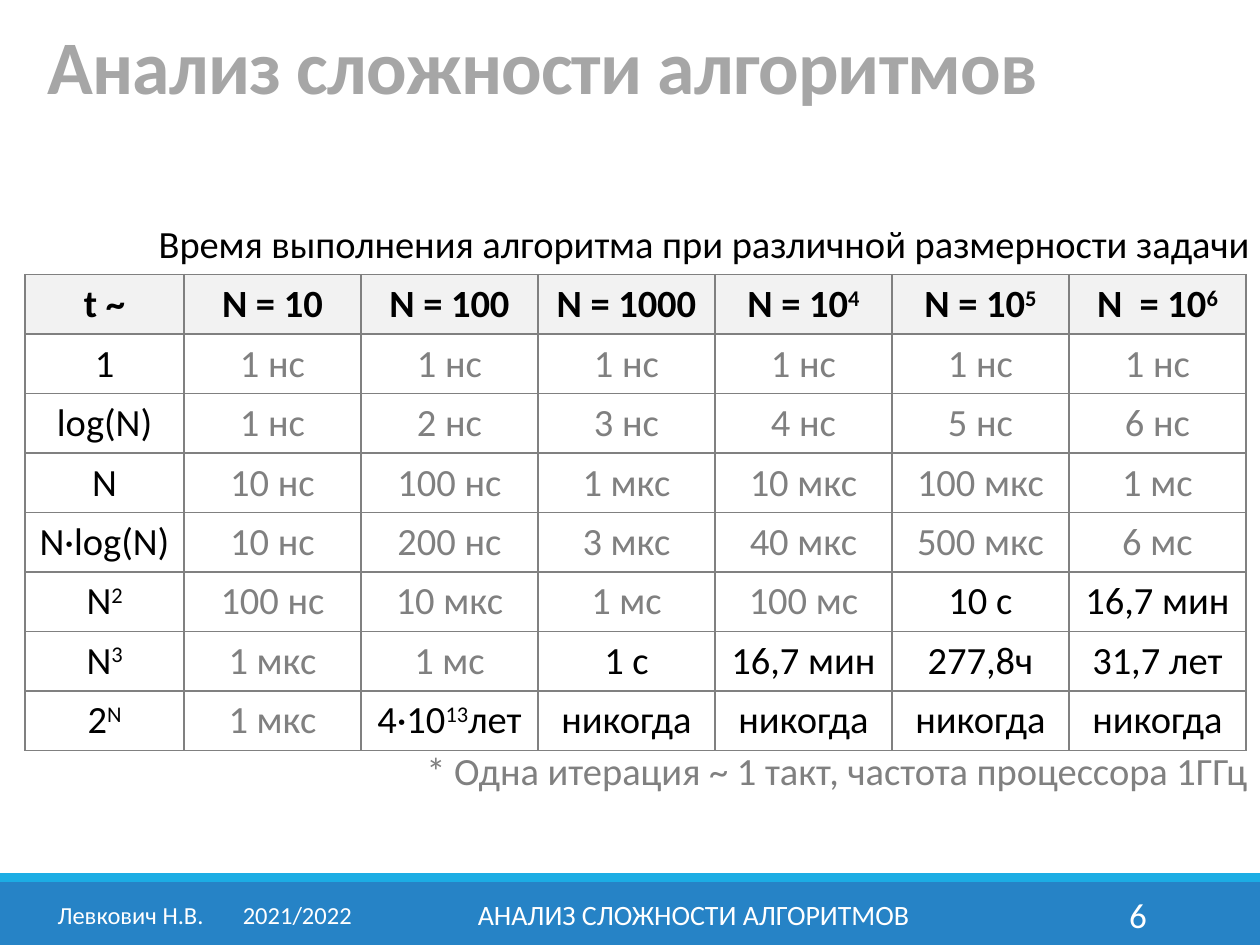
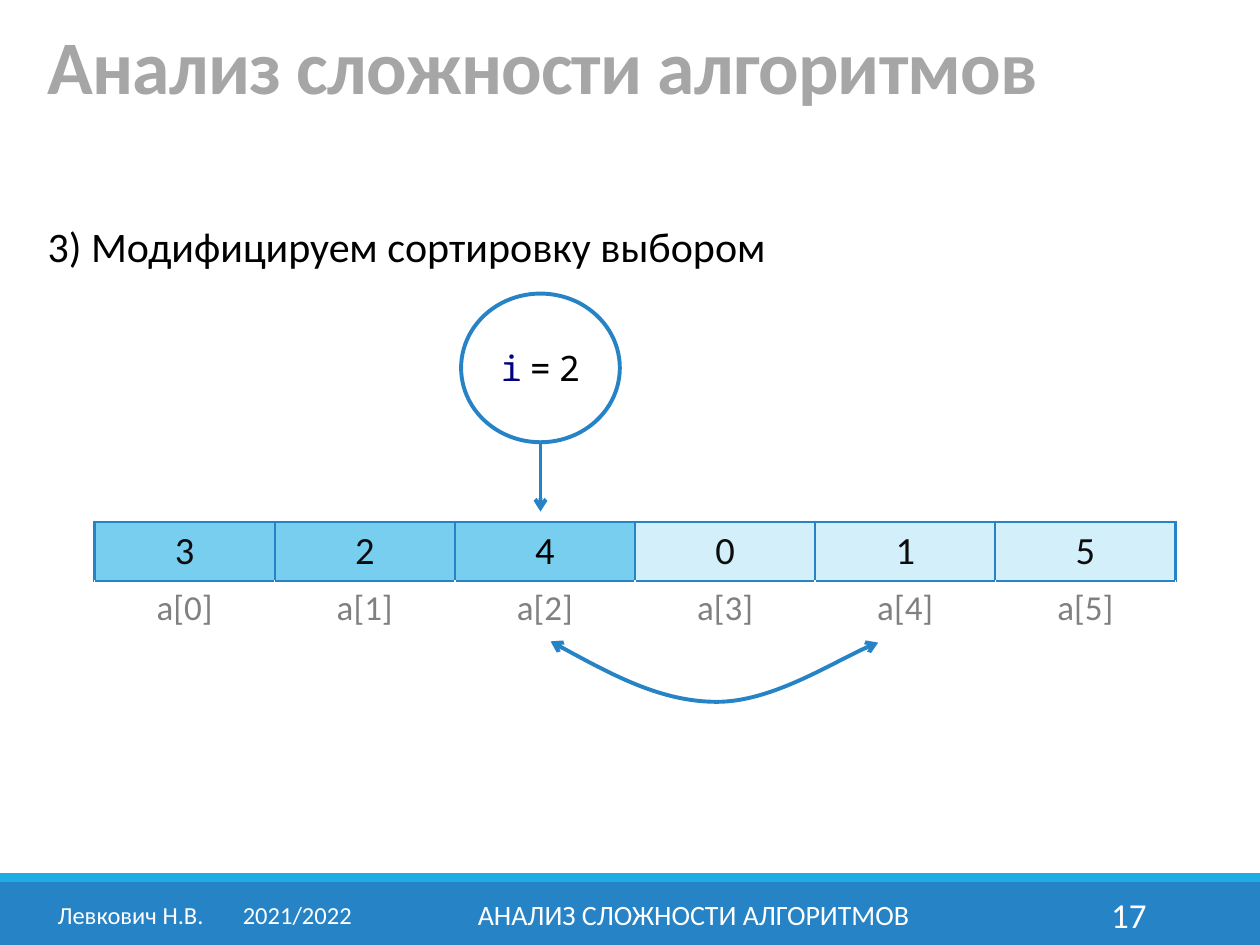
from dataclasses import dataclass

from lxml.etree import SubElement
from pptx import Presentation
from pptx.dml.color import RGBColor
from pptx.enum.shapes import MSO_CONNECTOR, MSO_SHAPE
from pptx.enum.text import MSO_ANCHOR as Anchor, MSO_AUTO_SIZE as AutoSize, PP_ALIGN as Align
from pptx.oxml.ns import qn
from pptx.util import Inches, Pt


@dataclass(frozen=True)
class Theme:
    font: str = "Calibri"
    code_font: str = "Noto Sans Mono"
    blue: str = "2683C6"
    accent: str = "1CADE4"
    sorted_cell: str = "77CEEF"
    open_cell: str = "D2EFFA"
    header_cell: str = "F2F2F2"
    white: str = "FFFFFF"
    black: str = "000000"
    ink: str = "0D0D0D"
    gray: str = "808080"
    title_gray: str = "A6A6A6"
    variable: str = "000080"
    title_size: float = 43.2
    lead_size: float = 24
    table_size: float = 22
    label_size: float = 20
    topic_size: float = 16
    author_size: float = 14
    line_width: float = 2.25


THEME = Theme()
TOPIC = "Анализ сложности алгоритмов"
FAST_UNITS = ("нс", "мкс", "мс")
SIZES = ["N = 10", "N = 100", "N = 1000", "N = 10^4", "N = 10^5", "N  = 10^6"]
TIMES = {
    "1": ["1 нс"] * 6,
    "log(N)": [f"{power} нс" for power in range(1, 7)],
    "N": ["10 нс", "100 нс", "1 мкс", "10 мкс", "100 мкс", "1 мс"],
    "N·log(N)": ["10 нс", "200 нс", "3 мкс", "40 мкс", "500 мкс", "6 мс"],
    "N^2": ["100 нс", "10 мкс", "1 мс", "100 мс", "10 с", "16,7 мин"],
    "N^3": ["1 мкс", "1 мс", "1 с", "16,7 мин", "277,8ч", "31,7 лет"],
    "2^N": ["1 мкс", "4·10^13^лет"] + ["никогда"] * 4,
}


def rgb(color):
    return RGBColor.from_string(color)


def add_span(para, text, size, color, bold=False, font=THEME.font):
    span = para.add_run()
    span.text = text
    span.font.name = font
    span.font.size = Pt(size)
    span.font.bold = bold
    span.font.color.rgb = rgb(color)
    return span


def add_power_spans(para, text, size, color, bold=False):
    for index, part in enumerate(text.split("^")):
        span = add_span(para, part, size, color, bold)
        if index % 2:
            span.font._element.set("baseline", "30000")


def add_text(page, area, text, size, color, align=Align.LEFT, anchor=Anchor.TOP, bold=False):
    box = page.shapes.add_textbox(*map(Inches, area))
    frame = box.text_frame
    frame.word_wrap = True
    frame.auto_size = AutoSize.NONE
    frame.vertical_anchor = anchor
    para = frame.paragraphs[0]
    para.alignment = align
    span = add_span(para, text, size, color, bold)
    return para, span


def add_band(page, top, height, color):
    band = page.shapes.add_shape(
        MSO_SHAPE.RECTANGLE, 0, Inches(top), Inches(10), Inches(height))
    band.shadow.inherit = False
    band.fill.solid()
    band.fill.fore_color.rgb = rgb(color)
    band.line.fill.background()


def add_page(deck, number):
    page = deck.slides.add_slide(deck.slide_layouts[6])
    add_band(page, 7, 0.5, THEME.blue)
    add_band(page, 6.93, 0.07, THEME.accent)

    para, span = add_text(page, (0.28, 0, 8.25, 0.92), TOPIC, THEME.title_size,
                          THEME.title_gray, anchor=Anchor.BOTTOM, bold=True)
    para.line_spacing = 0.85
    span.font._element.set("spc", "-50")

    footers = [
        (0.32, 2.61, "Левкович Н.В.\t2021/2022", THEME.author_size, Align.CENTER),
        (3.02, 4.97, TOPIC.upper(), THEME.topic_size, Align.CENTER),
        (8.12, 1.08, str(number), THEME.label_size, Align.RIGHT),
    ]
    for left, width, text, size, align in footers:
        para, span = add_text(page, (left, 7.06, width, 0.4), text, size,
                              THEME.white, align, Anchor.MIDDLE)
        if "\t" in text:
            tabs = SubElement(para._p.get_or_add_pPr(), qn("a:tabLst"))
            SubElement(tabs, qn("a:tab"), pos=str(Inches(1.47)), algn="l")
    return page


def add_grid(page, left, top, width, row_heights, column_count):
    size = [Inches(width), Inches(sum(row_heights))]
    grid = page.shapes.add_table(
        len(row_heights), column_count, Inches(left), Inches(top), *size).table
    grid.first_row = grid.horz_banding = False
    for column in grid.columns:
        column.width = Inches(width / column_count)
    for row, height in zip(grid.rows, row_heights):
        row.height = Inches(height)
    return grid


def set_borders(cell, sides, color, width):
    properties = cell._tc.get_or_add_tcPr()
    for side in sides:
        line = SubElement(properties, qn(f"a:ln{side}"), w=str(Pt(width)))
        fill = SubElement(line, qn("a:solidFill"))
        SubElement(fill, qn("a:srgbClr"), val=color)


def fill_cell(cell, text, size, color, fill=None, bold=False, anchor=Anchor.MIDDLE):
    cell.vertical_anchor = anchor
    if fill:
        cell.fill.solid()
        cell.fill.fore_color.rgb = rgb(fill)
    else:
        cell.fill.background()
    para = cell.text_frame.paragraphs[0]
    para.alignment = Align.CENTER
    add_power_spans(para, text, size, color, bold)


def add_time_grid(page, left, width, rows):
    grid = add_grid(page, left, 2.18, width, [0.47] * len(rows), len(rows[0]))
    for row_index, row in enumerate(rows):
        header = row_index == 0
        for column_index, text in enumerate(row):
            cell = grid.cell(row_index, column_index)
            set_borders(cell, "LRTB", THEME.gray, 1)
            color = THEME.gray if text.split()[-1] in FAST_UNITS else THEME.black
            fill_cell(cell, text, THEME.table_size, color,
                      THEME.header_cell if header else None, header)


def add_array(page, values, current):
    grid = add_grid(page, 0.75, 4.14, 8.58, [0.47, 0.43], len(values))
    for index, value in enumerate(values):
        value_cell, label_cell = grid.cell(0, index), grid.cell(1, index)
        set_borders(value_cell, "LRTB", THEME.blue, 1.5)
        fill_cell(value_cell, str(value), THEME.table_size,
                  THEME.black if index == current else THEME.ink,
                  THEME.sorted_cell if index <= current else THEME.open_cell,
                  anchor=Anchor.TOP)
        set_borders(label_cell, "LR", THEME.white, 1)
        set_borders(label_cell, "T", THEME.blue, 1.5)
        set_borders(label_cell, "B", THEME.white, 1)
        fill_cell(label_cell, f"a[{index}]", THEME.label_size, THEME.gray, THEME.white)


def style_line(shape, *arrow_ends):
    shape.line.color.rgb = rgb(THEME.blue)
    shape.line.width = Pt(THEME.line_width)
    for end in arrow_ends:
        SubElement(shape.line._get_or_add_ln(), qn(f"a:{end}"), type="arrow")


def add_arrow(page, start, end):
    arrow = page.shapes.add_connector(
        MSO_CONNECTOR.STRAIGHT, *map(Inches, start + end))
    style_line(arrow, "tailEnd")
    SubElement(arrow._element.spPr, qn("a:effectLst"))


def add_swap_curve(page, start, controls):
    builder = page.shapes.build_freeform(*map(Inches, start), scale=1.0)
    builder.add_line_segments(
        [(Inches(x), Inches(y)) for x, y in controls], close=False)
    curve = builder.convert_to_shape()
    curve.shadow.inherit = False
    curve.fill.background()
    style_line(curve, "headEnd", "tailEnd")
    segments = list(curve._element.iter(qn("a:lnTo")))
    for first in range(0, len(segments), 3):
        bezier = SubElement(segments[first].getparent(), qn("a:cubicBezTo"))
        for segment in segments[first:first + 3]:
            bezier.append(segment[0])
            segment.getparent().remove(segment)


def add_index_circle(page, area, index):
    circle = page.shapes.add_shape(MSO_SHAPE.OVAL, *map(Inches, area))
    circle.shadow.inherit = False
    circle.fill.background()
    style_line(circle)
    frame = circle.text_frame
    frame.vertical_anchor = Anchor.MIDDLE
    para = frame.paragraphs[0]
    para.alignment = Align.CENTER
    for text, color, font in [
        ("i", THEME.variable, THEME.code_font),
        (" ", THEME.variable, THEME.font),
        ("=", THEME.black, THEME.code_font),
        (" ", THEME.black, THEME.font),
        (str(index), THEME.black, THEME.code_font),
    ]:
        add_span(para, text, THEME.label_size, color, font=font)


def build_time_page(deck):
    page = add_page(deck, 6)
    add_time_grid(page, 0.2, 1.26, [["t ~"]] + [[order] for order in TIMES])
    add_time_grid(page, 1.46, 8.43, [SIZES, *TIMES.values()])
    add_text(page, (1.06, 1.7, 9.06, 0.47),
             "Время выполнения алгоритма при различной размерности задачи",
             THEME.table_size, THEME.black, Align.CENTER)
    add_text(page, (2.44, 5.88, 7.56, 0.47),
             "* Одна итерация ~ 1 такт, частота процессора 1ГГц",
             THEME.table_size, THEME.gray, Align.RIGHT)


def build_sort_page(deck):
    page = add_page(deck, 17)
    add_swap_curve(page, (4.37, 5.09), [
        (4.81, 5.33), (5.25, 5.57), (5.69, 5.57),
        (6.12, 5.57), (6.7, 5.2), (6.97, 5.1),
    ])
    add_arrow(page, (4.29, 3.51), (4.29, 4.06))
    add_index_circle(page, (3.66, 2.33, 1.26, 1.18), 2)
    add_array(page, [3, 2, 4, 0, 1, 5], current=2)
    add_text(page, (0.28, 1.7, 6.61, 0.5), "3) Модифицируем сортировку выбором",
             THEME.lead_size, THEME.black)


def main():
    deck = Presentation()
    deck.slide_width, deck.slide_height = Inches(10), Inches(7.5)
    build_time_page(deck)
    build_sort_page(deck)
    deck.save("out.pptx")


if __name__ == "__main__":
    main()
